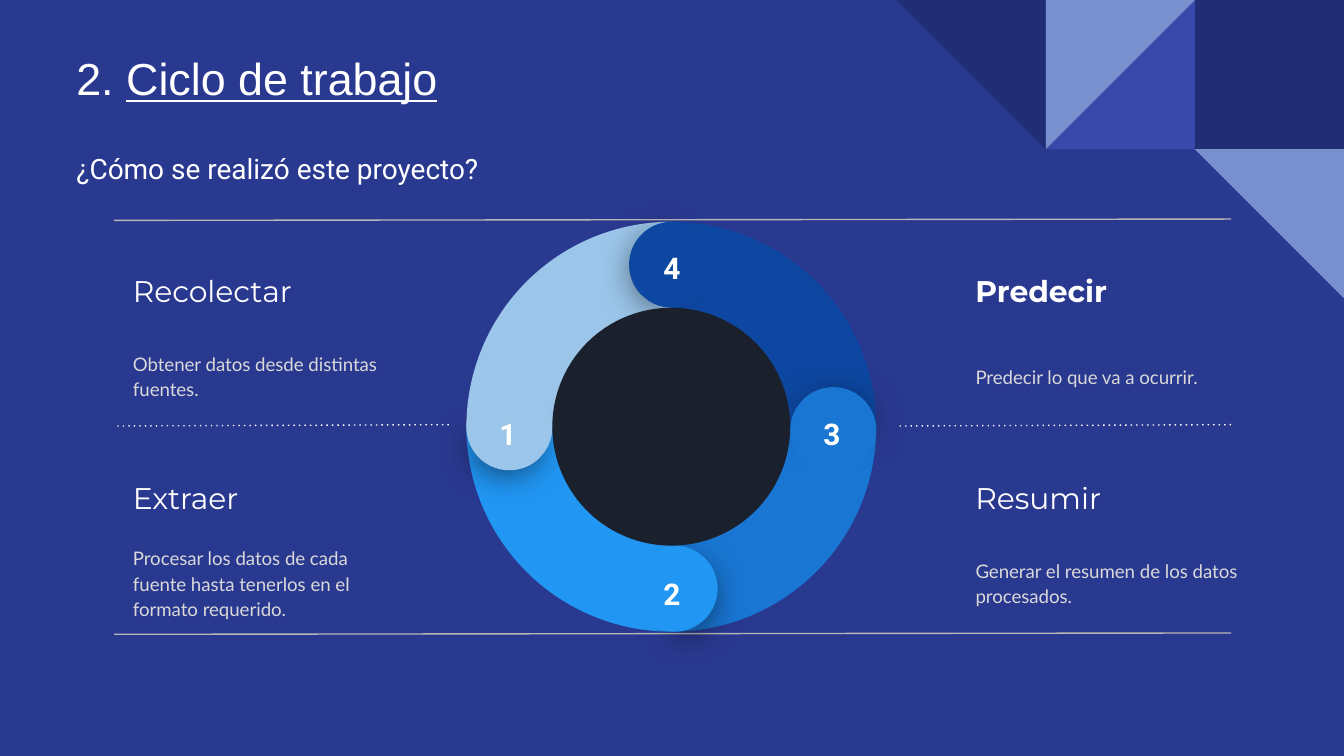
"""Build a slide showing a four-stage work cycle around a ring."""
from typing import NamedTuple

import lxml.etree
import pptx
import pptx.dml.color
import pptx.enum.dml
import pptx.enum.shapes
import pptx.enum.text
import pptx.oxml.ns
import pptx.util

Inches = pptx.util.Inches
RGBColor = pptx.dml.color.RGBColor
Shapes = pptx.enum.shapes.MSO_SHAPE
Anchor = pptx.enum.text.MSO_ANCHOR
Align = pptx.enum.text.PP_ALIGN

BACKGROUND = RGBColor(0x2A, 0x39, 0x90)
NAVY = RGBColor(0x21, 0x2D, 0x74)
INDIGO = RGBColor(0x39, 0x49, 0xAB)
PERIWINKLE = RGBColor(0x78, 0x90, 0xCD)
WHITE = RGBColor(0xFF, 0xFF, 0xFF)
BODY_GRAY = RGBColor(0xD9, 0xD9, 0xD9)
RULE_GRAY = RGBColor(0xB7, 0xB7, 0xB7)
HUB = RGBColor(0x1B, 0x21, 0x2C)
LIGHT_BLUE = RGBColor(0x9B, 0xC5, 0xE9)
BLUE = RGBColor(0x21, 0x96, 0xF3)
MEDIUM_BLUE = RGBColor(0x19, 0x76, 0xD2)
DARK_BLUE = RGBColor(0x0D, 0x47, 0xA1)

TILE = 1.11
QUARTER_ANGLES = (108, 162)
CHORD_ANGLES = (25.01, 18.12)
CAP_ANGLES = (189.54, 83.81)


class Box(NamedTuple):
    left: float
    top: float
    width: float
    height: float


class Tile(NamedTuple):
    column: int
    row: int
    kind: Shapes
    rotation: float
    color: RGBColor


class Stage(NamedTuple):
    heading: str
    description: str
    left: float
    top: float
    bold: bool = False


class Cap(NamedTuple):
    number: str
    color: RGBColor
    turn: float
    shaded: tuple[float, float]
    cover: tuple[float, float]
    label: tuple[float, float]
    angles: tuple[float, float] = CAP_ANGLES


class Rule(NamedTuple):
    left: float
    right: float
    top: float
    color: RGBColor
    dotted: bool = False


TILES = [
    Tile(2, 0, Shapes.RECTANGLE, 0, NAVY),
    Tile(1, 0, Shapes.RIGHT_TRIANGLE, 270, INDIGO),
    Tile(1, 0, Shapes.RIGHT_TRIANGLE, 90, PERIWINKLE),
    Tile(0, 0, Shapes.RIGHT_TRIANGLE, 180, NAVY),
    Tile(2, 1, Shapes.RIGHT_TRIANGLE, 180, PERIWINKLE),
]
STAGES = [
    Stage("Recolectar", "Obtener datos desde distintas fuentes.", 0.89, 1.92),
    Stage("Extraer", "Procesar los datos de cada fuente hasta tenerlos en el formato requerido.", 0.89, 3.46),
    Stage("Predecir", "Predecir lo que va a ocurrir.", 7.16, 1.92, bold=True),
    Stage("Resumir", "Generar el resumen de los datos procesados.", 7.16, 3.46),
]
RULES = [
    Rule(0.85, 9.16, 1.63, RULE_GRAY),
    Rule(0.85, 3.34, 3.16, WHITE, dotted=True),
    Rule(6.67, 9.16, 3.16, WHITE, dotted=True),
    Rule(0.85, 9.16, 4.71, RULE_GRAY),
]
QUARTERS = [LIGHT_BLUE, DARK_BLUE, MEDIUM_BLUE, BLUE]
CAPS = [
    Cap("1", LIGHT_BLUE, 0, (3.48, 2.9), (3.47, 2.86), (3.5, 2.99)),
    Cap("2", BLUE, 270, (4.74, 4.11), (4.7, 4.06), (4.72, 4.18)),
    Cap("3", MEDIUM_BLUE, 180, (5.93, 2.9), (5.88, 2.88), (5.91, 2.99), (196.87, 77.71)),
    Cap("4", DARK_BLUE, 90, (4.7, 1.67), (4.68, 1.65), (4.72, 1.76)),
]


def add_filled(slide, kind: Shapes, box: Box, color: RGBColor, rotation: float = 0, angles: tuple = ()):
    shape = slide.shapes.add_shape(kind, *map(Inches, box))
    shape.shadow.inherit = False
    shape.fill.solid()
    shape.fill.fore_color.rgb = color
    shape.line.fill.background()
    shape.rotation = rotation
    for index, angle in enumerate(angles):
        shape.adjustments[index] = angle
    return shape


def add_soft_shadow(shape) -> None:
    effects = shape._element.spPr.find(pptx.oxml.ns.qn("a:effectLst"))
    shadow = lxml.etree.SubElement(
        effects, pptx.oxml.ns.qn("a:outerShdw"), blurRad=str(pptx.util.Pt(18)),
        dist=str(pptx.util.Pt(4)), dir="5400000", algn="bl", rotWithShape="0")
    color = lxml.etree.SubElement(shadow, pptx.oxml.ns.qn("a:srgbClr"), val="000000")
    lxml.etree.SubElement(color, pptx.oxml.ns.qn("a:alpha"), val="55000")


def add_text(slide, box: Box, text: str, *, font: str, size: float, color: RGBColor = WHITE,
             bold: bool = False, underlined: str = "", align: Align = Align.LEFT,
             anchor: Anchor = Anchor.TOP, line_spacing: float = 1, space_after: float = 0) -> None:
    frame = slide.shapes.add_textbox(*map(Inches, box)).text_frame
    frame.word_wrap = True
    frame.vertical_anchor = anchor
    frame.margin_left = frame.margin_right = frame.margin_top = frame.margin_bottom = Inches(0.1)
    paragraph = frame.paragraphs[0]
    paragraph.alignment = align
    paragraph.line_spacing = line_spacing
    paragraph.space_after = pptx.util.Pt(space_after)
    for part, underline in ((text, False), (underlined, True)):
        if part:
            run = paragraph.add_run()
            run.text = part
            run.font.name = font
            run.font.size = pptx.util.Pt(size)
            run.font.color.rgb = color
            run.font.bold = bold
            run.font.underline = underline


def add_stage(slide, stage: Stage) -> None:
    add_text(slide, Box(stage.left, stage.top, 2.03, 0.49), stage.heading,
             font="Montserrat", size=16, bold=stage.bold, anchor=Anchor.MIDDLE)
    add_text(slide, Box(stage.left, stage.top + 0.49, 2.18, 0.76), stage.description, font="Lato",
             size=10, color=BODY_GRAY, anchor=Anchor.MIDDLE, line_spacing=1.15, space_after=16)


def add_rule(slide, rule: Rule) -> None:
    connector = slide.shapes.add_connector(
        pptx.enum.shapes.MSO_CONNECTOR.STRAIGHT,
        *map(Inches, (rule.right, rule.top, rule.left, rule.top + 0.01)))
    connector.line.color.rgb = rule.color
    connector.line.width = pptx.util.Pt(0.75)
    if rule.dotted:
        connector.line.dash_style = pptx.enum.dml.MSO_LINE.ROUND_DOT
        dash = next(connector._element.spPr.iter(pptx.oxml.ns.qn("a:prstDash")))
        dash.set("val", "dot")
    lxml.etree.SubElement(connector._element.spPr, pptx.oxml.ns.qn("a:effectLst"))


def add_cap(slide, cap: Cap) -> None:
    shaded = add_filled(slide, Shapes.PIE, Box(*cap.shaded, 0.57, 0.57), cap.color,
                        cap.turn + 39.5, cap.angles)
    add_soft_shadow(shaded)
    add_filled(slide, Shapes.CHORD, Box(*cap.cover, 0.64, 0.64), cap.color, cap.turn + 4.1, CHORD_ANGLES)
    add_text(slide, Box(*cap.label, 0.56, 0.29), cap.number, font="Roboto", size=16,
             bold=True, align=Align.CENTER)


def main() -> None:
    presentation = pptx.Presentation()
    presentation.slide_width, presentation.slide_height = Inches(10), Inches(10 * 9 / 16)
    slide = presentation.slides.add_slide(presentation.slide_layouts[6])
    slide.background.fill.solid()
    slide.background.fill.fore_color.rgb = BACKGROUND

    for tile in TILES:
        box = Box(10 - (3 - tile.column) * TILE, tile.row * TILE, TILE, TILE)
        add_filled(slide, tile.kind, box, tile.color, tile.rotation)
    for stage in STAGES:
        add_stage(slide, stage)
    for rule in RULES:
        add_rule(slide, rule)
    for index, color in enumerate(QUARTERS):
        add_filled(slide, Shapes.PIE, Box(3.47, 1.65, 3.05, 3.05), color, index * 90, QUARTER_ANGLES)
    for cap in CAPS:
        add_cap(slide, cap)
    add_filled(slide, Shapes.OVAL, Box(4.11, 2.29, 1.77, 1.77), HUB)
    add_text(slide, Box(0.47, 0.28, 9.2, 0.61), "2. ", underlined="Ciclo de trabajo", font="Arial", size=24)
    add_text(slide, Box(0.47, 0.99, 8.53, 0.45), "¿Cómo se realizó este proyecto?",
             font="Roboto", size=15, line_spacing=1.15, space_after=10)
    presentation.save("out.pptx")


if __name__ == "__main__":
    main()
